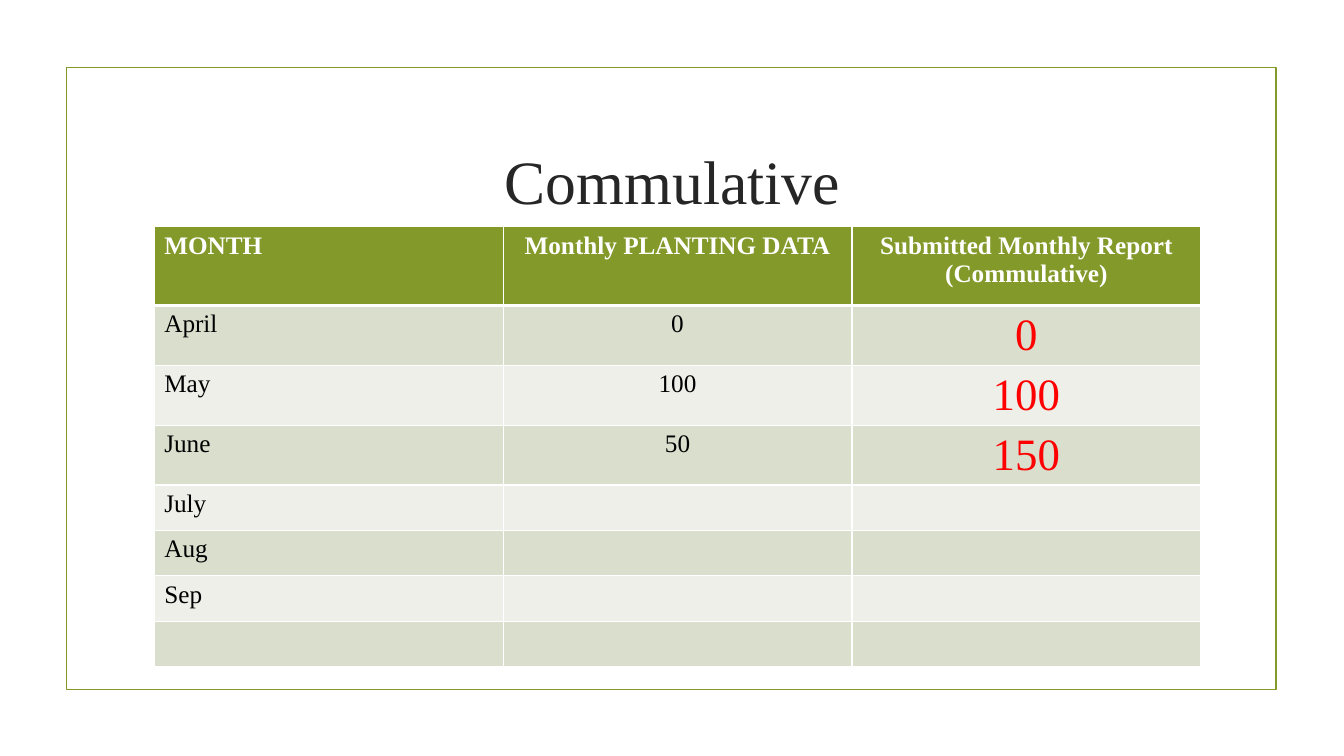
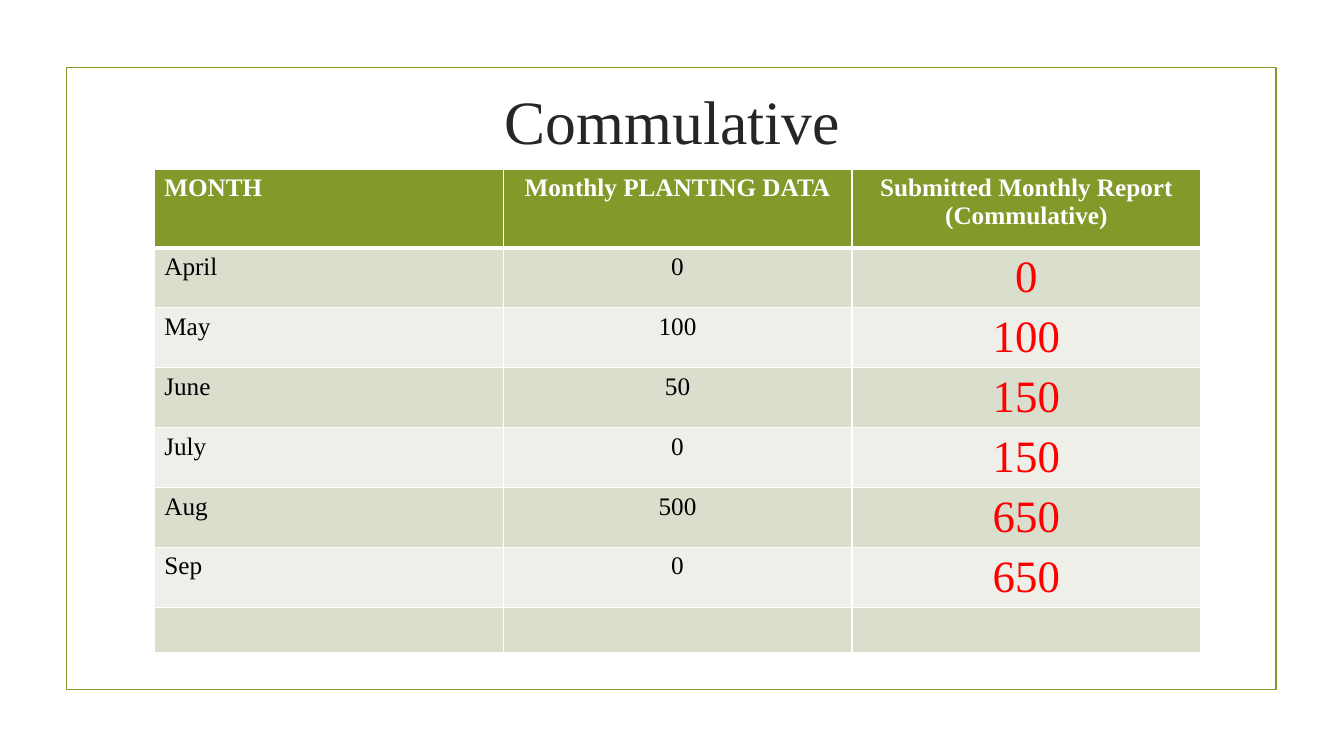
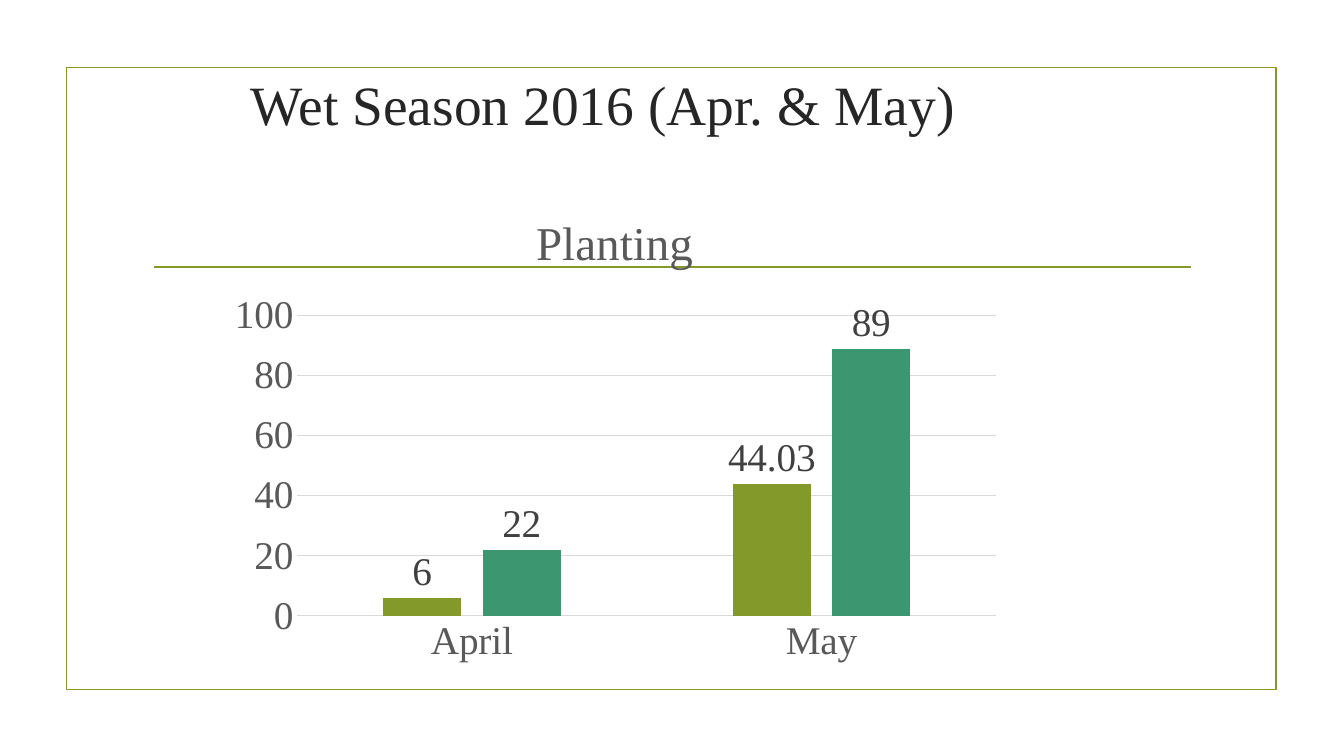
from dataclasses import dataclass

from lxml import etree
from pptx import Presentation
from pptx import util as u
from pptx.chart.data import CategoryChartData
from pptx.dml.color import RGBColor
from pptx.enum import chart as ch, shapes, text
from pptx.oxml import parse_xml
from pptx.oxml.ns import nsdecls, qn


@dataclass(frozen=True)
class Theme:
    font: str = "Times New Roman"
    green: str = "83992A"
    teal: str = "3C9770"
    white: str = "FFFFFF"
    black: str = "000000"
    red: str = "FF0000"
    title: str = "262626"
    label: str = "404040"
    axis: str = "595959"
    grid: str = "D9D9D9"
    bands: tuple = ("D9DECD", "EDEFE8")
    title_pt: float = 44
    cell_pt: float = 18
    total_pt: float = 32
    chart_pt: float = 28
    chart_title_pt: float = 33.6
    rule_pt: float = 1.25


T = Theme()

# Content
HEADER = ("MONTH", "Monthly PLANTING DATA", "Submitted Monthly Report\n(Commulative)")
MONTHS = ("April", "May", "June", "July", "Aug", "Sep")
TABLES = [
    dict(title="Commulative", title_at=(1.42, 1.07, 10.5, 1.43), top=2.25,
         planted=(0, 100, 50)),
    dict(title="Commulative", title_at=(1.42, 0.68, 10.5, 1.01), top=1.68,
         planted=(0, 100, 50, 0, 500, 0)),
]
CHART = dict(
    title="Wet Season 2016 (Apr. & May)", title_at=(0.73, 0.69, 10.5, 0.67), title_pt=39.6,
    at=(2.16, 1.88, 7.88, 4.81), name="Planting", cats=("April", "May"),
    series=(("Series 1", (6, 44.03), T.green), ("Series 2", (22, 89), T.teal)))

# Measures in inches
FRAME = (0.66, 0.67, 12, 6.17)
RULE = (1.53, 11.81, 2.65)
TABLE_LEFT, COLUMN = 1.53, 3.46
HEAD_ROW, FILLED_ROW, EMPTY_ROW = 0.78, 0.59, 0.45


def inches(values):
    return [u.Inches(v) for v in values]


def rgb(value):
    return RGBColor.from_string(value)


def style(font, size, color, bold=False):
    font.name, font.size, font.bold = T.font, u.Pt(size), bold
    font.color.rgb = rgb(color)


def write(tf, content, size, color, align, bold=False):
    for i, line in enumerate(content.split("\n")):
        p = tf.add_paragraph() if i else tf.paragraphs[0]
        p.alignment = align
        r = p.add_run()
        r.text = line
        style(r.font, size, color, bold)


def stroke(line, color, width):
    line.color.rgb = rgb(color)
    line.width = u.Pt(width)


# Shared frame and rule, kept on the layout
def decorate(layout, slide):
    frame = slide.shapes.add_shape(shapes.MSO_SHAPE.RECTANGLE, *inches(FRAME))
    frame.shadow.inherit = False
    frame.fill.background()
    left, right, y = inches(RULE)
    rule = slide.shapes.add_connector(shapes.MSO_CONNECTOR.STRAIGHT, left, y, right, y)
    for i, sp in enumerate((frame, rule)):
        stroke(sp.line, T.green, T.rule_pt)
        layout.shapes.element.insert(2 + i, sp.element)
    etree.SubElement(rule.element.spPr, qn("a:effectLst"))


def set_title(slide, content, at, size=T.title_pt):
    sp = slide.shapes.title
    sp.left, sp.top, sp.width, sp.height = inches(at)
    tf = sp.text_frame
    tf.auto_size = text.MSO_AUTO_SIZE.NONE
    tf.word_wrap = True
    tf.vertical_anchor = text.MSO_ANCHOR.MIDDLE
    write(tf, content, size, T.title, text.PP_ALIGN.CENTER)


# Tables
def fill_cell(cell, color, top, bottom):
    cell.fill.solid()
    cell.fill.fore_color.rgb = rgb(color)
    tc_pr = cell._tc.get_or_add_tcPr()
    for i, (side, pt) in enumerate((("L", 1), ("R", 1), ("T", top), ("B", bottom))):
        tc_pr.insert(i, parse_xml(
            f'<a:ln{side} {nsdecls("a")} w="{u.Pt(pt)}"><a:solidFill>'
            f'<a:srgbClr val="{T.white}"/></a:solidFill></a:ln{side}>'))


def table_rows(planted):
    rows, total = [HEADER], 0
    for i, month in enumerate(MONTHS):
        if i < len(planted):
            total += planted[i]
            rows.append((month, str(planted[i]), str(total)))
        else:
            rows.append((month, "", ""))
    return rows + [("", "", "")]


def add_planting_table(slide, top, planted):
    rows = table_rows(planted)
    heights = [HEAD_ROW] + [FILLED_ROW if row[2] else EMPTY_ROW for row in rows[1:]]
    box = inches((TABLE_LEFT, top, COLUMN * len(HEADER), sum(heights)))
    table = slide.shapes.add_table(len(rows), len(HEADER), *box).table
    for column in table.columns:
        column.width = u.Inches(COLUMN)
    for i, row in enumerate(rows):
        table.rows[i].height = u.Inches(heights[i])
        for j, content in enumerate(row):
            cell = table.cell(i, j)
            fill_cell(cell, T.bands[(i - 1) % 2] if i else T.green,
                      3 if i == 1 else 1, 1 if i else 3)
            if not content:
                continue
            size, color = T.cell_pt, T.black if i else T.white
            if i and j == 2:
                size, color = T.total_pt, T.red
            align = text.PP_ALIGN.CENTER if j else text.PP_ALIGN.LEFT
            write(cell.text_frame, content, size, color, align, bold=i == 0)


# Chart
def place(element, index, **values):
    """Give a chart part a manual layout, as shares of the chart's size."""
    for old in element.findall(qn("c:layout")):
        element.remove(old)
    parts = "".join(f'<c:{k} val="{v}"/>' for k, v in values.items())
    element.insert(index, parse_xml(
        f'<c:layout {nsdecls("c")}><c:manualLayout>{parts}</c:manualLayout></c:layout>'))


def add_planting_chart(slide, at, name, cats, series):
    data = CategoryChartData()
    data.categories = cats
    for label, values, _ in series:
        data.add_series(label, values)
    chart = slide.shapes.add_chart(
        ch.XL_CHART_TYPE.COLUMN_CLUSTERED, *inches(at), data).chart
    style(chart.font, T.chart_pt, T.black)
    chart.has_legend = False
    chart.has_title = True
    write(chart.chart_title.text_frame, name, T.chart_title_pt, T.axis, text.PP_ALIGN.CENTER)

    plot = chart.plots[0]
    plot.gap_width, plot.overlap, plot.vary_by_categories = 219, -27, False
    for bars, (_, _, color) in zip(plot.series, series):
        bars.format.fill.solid()
        bars.format.fill.fore_color.rgb = rgb(color)
        labels = bars.data_labels
        labels.show_value = True
        labels.position = ch.XL_LABEL_POSITION.OUTSIDE_END
        style(labels.font, T.chart_pt, T.label)

    values = chart.value_axis
    for axis in (chart.category_axis, values):
        axis.major_tick_mark = axis.minor_tick_mark = ch.XL_TICK_MARK.NONE
        style(axis.tick_labels.font, T.chart_pt, T.axis)
    stroke(chart.category_axis.format.line, T.grid, 0.75)
    values.minimum_scale, values.maximum_scale, values.major_unit = 0, 100, 20
    values.format.line.fill.background()
    stroke(values.major_gridlines.format.line, T.grid, 0.75)

    # The title stands on the rule, clear of its stroke
    place(chart.element.xpath("c:chart/c:title")[0], 1,
          xMode="edge", yMode="edge", x=0.39, y=0.03)
    place(chart.element.xpath("c:chart/c:plotArea")[0], 0, layoutTarget="inner",
          xMode="edge", yMode="edge", x=0.1, y=0.26, w=0.88, h=0.62)


def main():
    prs = Presentation()
    prs.slide_width, prs.slide_height = inches((13.33, 7.5))
    layout = prs.slide_layouts[5]
    for item in TABLES:
        slide = prs.slides.add_slide(layout)
        set_title(slide, item["title"], item["title_at"])
        add_planting_table(slide, item["top"], item["planted"])
    slide = prs.slides.add_slide(layout)
    decorate(layout, slide)
    set_title(slide, CHART["title"], CHART["title_at"], CHART["title_pt"])
    add_planting_chart(slide, CHART["at"], CHART["name"], CHART["cats"], CHART["series"])
    prs.save("out.pptx")


if __name__ == "__main__":
    main()
